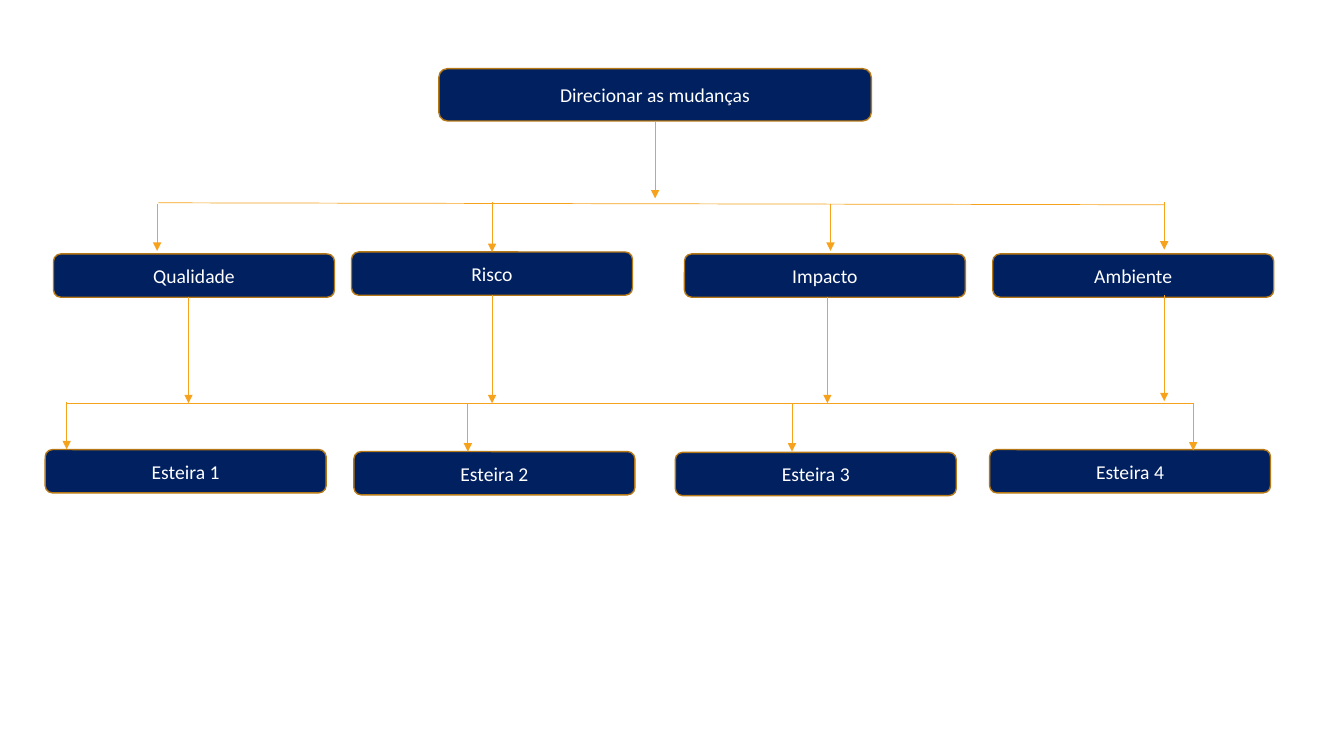
from typing import NamedTuple, Optional

from lxml import etree
from pptx import Presentation
from pptx.dml.color import RGBColor
from pptx.enum.shapes import MSO_CONNECTOR, MSO_SHAPE
from pptx.enum.text import MSO_ANCHOR, PP_ALIGN
from pptx.oxml.ns import qn
from pptx.shapes.autoshape import Shape
from pptx.shapes.shapetree import SlideShapes
from pptx.util import Cm, Pt

ROUNDED = MSO_SHAPE.ROUNDED_RECTANGLE
STRAIGHT = MSO_CONNECTOR.STRAIGHT
MIDDLE = MSO_ANCHOR.MIDDLE
CENTER = PP_ALIGN.CENTER

NAVY = RGBColor(0x00, 0x20, 0x60)
BRONZE = RGBColor(0xB6, 0x78, 0x15)
AMBER = RGBColor(0xF6, 0xA2, 0x1D)
WHITE = RGBColor(0xFF, 0xFF, 0xFF)

TOP_SITE, BOTTOM_SITE = 0, 2
ENTRY_LENGTH = 1.19
EXIT_LENGTH = 2.67


class Box(NamedTuple):
    """Lengths are in centimetres."""
    text: str
    left: float
    top: float
    width: float = 7.08
    height: float = 1.09


class Line(NamedTuple):
    """A line in centimetres, joined to the named boxes where given."""
    x1: float
    y1: float
    x2: float
    y2: float
    arrow: bool = True
    source: Optional[str] = None
    target: Optional[str] = None


def down(x: float, y: float, length: float, source: Optional[str] = None,
         target: Optional[str] = None) -> Line:
    return Line(x, y, x, y + length, source=source, target=target)


BOXES = [
    Box("Direcionar as mudanças", 11.06, 1.73, 10.9, 1.32),
    Box("Qualidade", 1.35, 6.4),
    Box("Risco", 8.86, 6.35),
    Box("Impacto", 17.25, 6.4),
    Box("Ambiente", 25.02, 6.4),
    Box("Esteira 1", 1.14, 11.33),
    Box("Esteira 2", 8.92, 11.38),
    Box("Esteira 3", 17.02, 11.4),
    Box("Esteira 4", 24.94, 11.33),
]

LINES = [
    Line(1.68, 10.16, 30.07, 10.16, arrow=False),
    down(3.96, 5.13, ENTRY_LENGTH),
    down(12.4, 5.1, ENTRY_LENGTH, target="Risco"),
    down(20.93, 5.13, ENTRY_LENGTH),
    down(29.34, 5.1, ENTRY_LENGTH),
    Line(3.99, 5.11, 29.36, 5.16, arrow=False),
    down(4.75, 7.49, EXIT_LENGTH),
    down(12.4, 7.49, EXIT_LENGTH, source="Risco"),
    down(20.85, 7.49, EXIT_LENGTH),
    down(29.34, 7.44, EXIT_LENGTH),
    down(16.51, 3.0, 2.0, source="Direcionar as mudanças"),
    down(1.68, 10.13, ENTRY_LENGTH),
    down(30.07, 10.16, ENTRY_LENGTH),
    down(11.79, 10.19, ENTRY_LENGTH),
    down(19.96, 10.19, ENTRY_LENGTH),
]


def draw_box(shapes: SlideShapes, box: Box) -> Shape:
    shape = shapes.add_shape(ROUNDED, Cm(box.left), Cm(box.top),
                             Cm(box.width), Cm(box.height))
    shape.shadow.inherit = False
    shape.fill.solid()
    shape.fill.fore_color.rgb = NAVY
    shape.line.color.rgb = BRONZE
    shape.line.width = Pt(1)
    frame = shape.text_frame
    frame.word_wrap = True
    frame.vertical_anchor = MIDDLE
    paragraph = frame.paragraphs[0]
    paragraph.text = box.text
    paragraph.alignment = CENTER
    paragraph.font.name = "Calibri"
    paragraph.font.size = Pt(14)
    paragraph.font.color.rgb = WHITE
    return shape


def draw_line(shapes: SlideShapes, line: Line, boxes: dict[str, Shape]) -> None:
    connector = shapes.add_connector(STRAIGHT, Cm(line.x1), Cm(line.y1),
                                     Cm(line.x2), Cm(line.y2))
    if line.source:
        connector.begin_connect(boxes[line.source], BOTTOM_SITE)
    if line.target:
        connector.end_connect(boxes[line.target], TOP_SITE)
    connector.line.color.rgb = AMBER
    connector.line.width = Pt(0.5)
    properties = connector.element.spPr
    if line.arrow:
        outline = properties.find(qn("a:ln"))
        etree.SubElement(outline, qn("a:tailEnd"), type="triangle")
    etree.SubElement(properties, qn("a:effectLst"))


def main() -> None:
    presentation = Presentation()
    presentation.slide_width = Cm(33.87)
    presentation.slide_height = Cm(19.05)
    shapes = presentation.slides.add_slide(presentation.slide_layouts[6]).shapes
    boxes = {box.text: draw_box(shapes, box) for box in BOXES}
    for line in LINES:
        draw_line(shapes, line, boxes)
    presentation.save("out.pptx")


if __name__ == "__main__":
    main()
